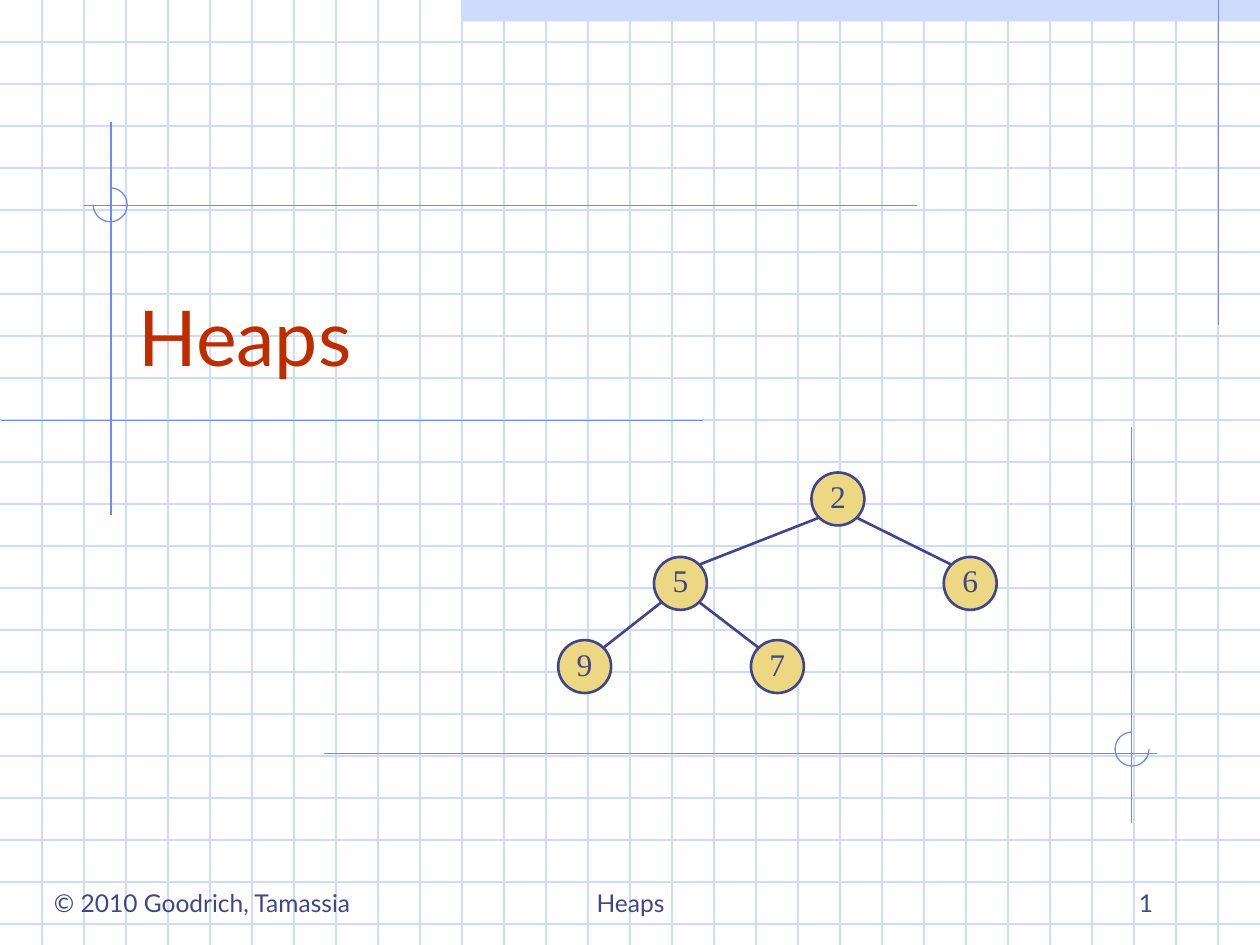
from dataclasses import dataclass
from math import sqrt

from lxml import etree
from pptx import Presentation
from pptx import util as u
from pptx.dml.color import RGBColor
from pptx.enum import shapes, text
from pptx.oxml.ns import qn


@dataclass(frozen=True)
class Theme:
    grid: RGBColor = RGBColor(0xCF, 0xDB, 0xFD)
    rule: RGBColor = RGBColor(0x6F, 0x89, 0xF7)
    ink: RGBColor = RGBColor(0x40, 0x45, 0x8C)
    title: RGBColor = RGBColor(0xBE, 0x2D, 0x00)
    node: RGBColor = RGBColor(0xEC, 0xD8, 0x82)
    font: str = "Lato"
    node_font: str = "Times New Roman"
    title_size: int = 44
    node_size: int = 18
    footer_size: int = 14
    thin: float = 0.75
    thick: float = 1.5


@dataclass(frozen=True)
class Line:
    x1: float
    y1: float
    x2: float
    y2: float


@dataclass(frozen=True)
class Arc:
    x: float
    y: float
    start: int
    end: int


@dataclass(frozen=True)
class Node:
    key: str
    x: float
    y: float
    parent: str = ""


@dataclass(frozen=True)
class Footer:
    words: str
    x: float
    w: float
    align: text.PP_ALIGN


THEME = Theme()
WIDTH, HEIGHT = 10, 7.5
CELLS_PER_INCH = 3
ARC_SIZE = 0.27
NODE_SIZE = 0.42
ALIGN = text.PP_ALIGN
ANCHOR = text.MSO_ANCHOR

RULES = [
    Line(9.67, 0, 9.67, 2.58),
    Line(0.88, 0.97, 0.88, 4.09),
    Line(0.01, 3.34, 5.58, 3.34),
    Line(0.67, 1.63, 7.28, 1.63),
    Line(2.57, 5.98, 9.18, 5.98),
    Line(8.98, 3.39, 8.98, 6.53),
]
# Angles run clockwise from the right
ARCS = [Arc(0.74, 1.49, 270, 180), Arc(8.85, 5.81, 0, 270)]
HEAP = [
    Node("2", 6.44, 3.75),
    Node("5", 5.19, 4.42, "2"),
    Node("6", 7.49, 4.42, "2"),
    Node("9", 4.43, 5.08, "5"),
    Node("7", 5.96, 5.08, "5"),
]
FOOTERS = [
    Footer("© 2010 Goodrich, Tamassia", 0.33, 2.92, ALIGN.LEFT),
    Footer("Heaps", 3.42, 3.17, ALIGN.CENTER),
    Footer("1", 7.17, 2.08, ALIGN.RIGHT),
]


def write(sp, words: str, *, size: int, color: RGBColor, font: str = THEME.font,
          align=ALIGN.LEFT, anchor=ANCHOR.BOTTOM, wrap: bool = True,
          insets: tuple = (0.1, 0.05, 0.1, 0.05)) -> None:
    tf = sp.text_frame
    tf.word_wrap = wrap
    tf.vertical_anchor = anchor
    tf.margin_left, tf.margin_top, tf.margin_right, tf.margin_bottom = map(u.Inches, insets)
    p = tf.paragraphs[0]
    p.alignment = align
    r = p.add_run()
    r.text = words
    r.font.name, r.font.size = font, u.Pt(size)
    r.font.color.rgb = color


def add_text(s, x: float, y: float, w: float, h: float, words: str, **style) -> None:
    sp = s.shapes.add_textbox(*map(u.Inches, (x, y, w, h)))
    write(sp, words, **style)


def add_line(s, line: Line, color: RGBColor, width: float = THEME.thin) -> None:
    ends = map(u.Inches, (line.x1, line.y1, line.x2, line.y2))
    sp = s.shapes.add_connector(shapes.MSO_CONNECTOR.STRAIGHT, *ends)
    sp.line.color.rgb, sp.line.width = color, u.Pt(width)
    etree.SubElement(sp._element.spPr, qn("a:effectLst"))


def add_shape(s, kind, x: float, y: float, w: float, h: float,
              fill: RGBColor | None = None, line: RGBColor | None = None,
              width: float = THEME.thin):
    sp = s.shapes.add_shape(kind, *map(u.Inches, (x, y, w, h)))
    sp.shadow.inherit = False
    if fill is None:
        sp.fill.background()
    else:
        sp.fill.solid()
        sp.fill.fore_color.rgb = fill
    if line is None:
        sp.line.fill.background()
    else:
        sp.line.color.rgb, sp.line.width = line, u.Pt(width)
    return sp


def add_arc(s, arc: Arc) -> None:
    sp = add_shape(s, shapes.MSO_SHAPE.ARC, arc.x, arc.y, ARC_SIZE, ARC_SIZE, line=THEME.rule)
    # One degree is 60000 units; adjustments count in 100000
    sp.adjustments[0], sp.adjustments[1] = arc.start * 0.6, arc.end * 0.6


def add_edge(s, parent: Node, child: Node) -> None:
    """Join the diagonal points of two circles that face each other."""
    radius = NODE_SIZE / 2
    reach = radius / sqrt(2)
    side = reach if child.x > parent.x else -reach
    edge = Line(parent.x + radius + side, parent.y + radius + reach,
                child.x + radius - side, child.y + radius - reach)
    add_line(s, edge, THEME.ink, THEME.thick)


def add_node(s, node: Node) -> None:
    sp = add_shape(s, shapes.MSO_SHAPE.OVAL, node.x, node.y, NODE_SIZE, NODE_SIZE,
                   THEME.node, THEME.ink, THEME.thick)
    write(sp, node.key, size=THEME.node_size, color=THEME.ink, font=THEME.node_font,
          align=ALIGN.CENTER, anchor=ANCHOR.MIDDLE, wrap=False, insets=(0, 0, 0, 0.05))


def main() -> None:
    prs = Presentation()
    prs.slide_width, prs.slide_height = u.Inches(WIDTH), u.Inches(HEIGHT)
    s = prs.slides.add_slide(prs.slide_layouts[6])

    # Top band and graph-paper grid
    add_shape(s, shapes.MSO_SHAPE.RECTANGLE, 3.67, 0, 6.33, 0.17, THEME.grid)
    for i in range(1, int(HEIGHT * CELLS_PER_INCH) + 1):
        add_line(s, Line(0, i / CELLS_PER_INCH, WIDTH, i / CELLS_PER_INCH), THEME.grid)
    for i in range(1, WIDTH * CELLS_PER_INCH):
        add_line(s, Line(i / CELLS_PER_INCH, 0, i / CELLS_PER_INCH, HEIGHT), THEME.grid)

    # Drafting rules and arcs
    for rule in RULES:
        add_line(s, rule, THEME.rule)
    for arc in ARCS:
        add_arc(s, arc)

    # Title and footers
    add_text(s, 1, 1.83, 8.5, 1.25, "Heaps", size=THEME.title_size, color=THEME.title)
    for f in FOOTERS:
        add_text(s, f.x, 6.83, f.w, 0.5, f.words, size=THEME.footer_size,
                 color=THEME.ink, align=f.align)

    # Heap tree
    by_key = {node.key: node for node in HEAP}
    for node in HEAP:
        if node.parent:
            add_edge(s, by_key[node.parent], node)
    for node in HEAP:
        add_node(s, node)

    prs.save("out.pptx")


if __name__ == "__main__":
    main()
